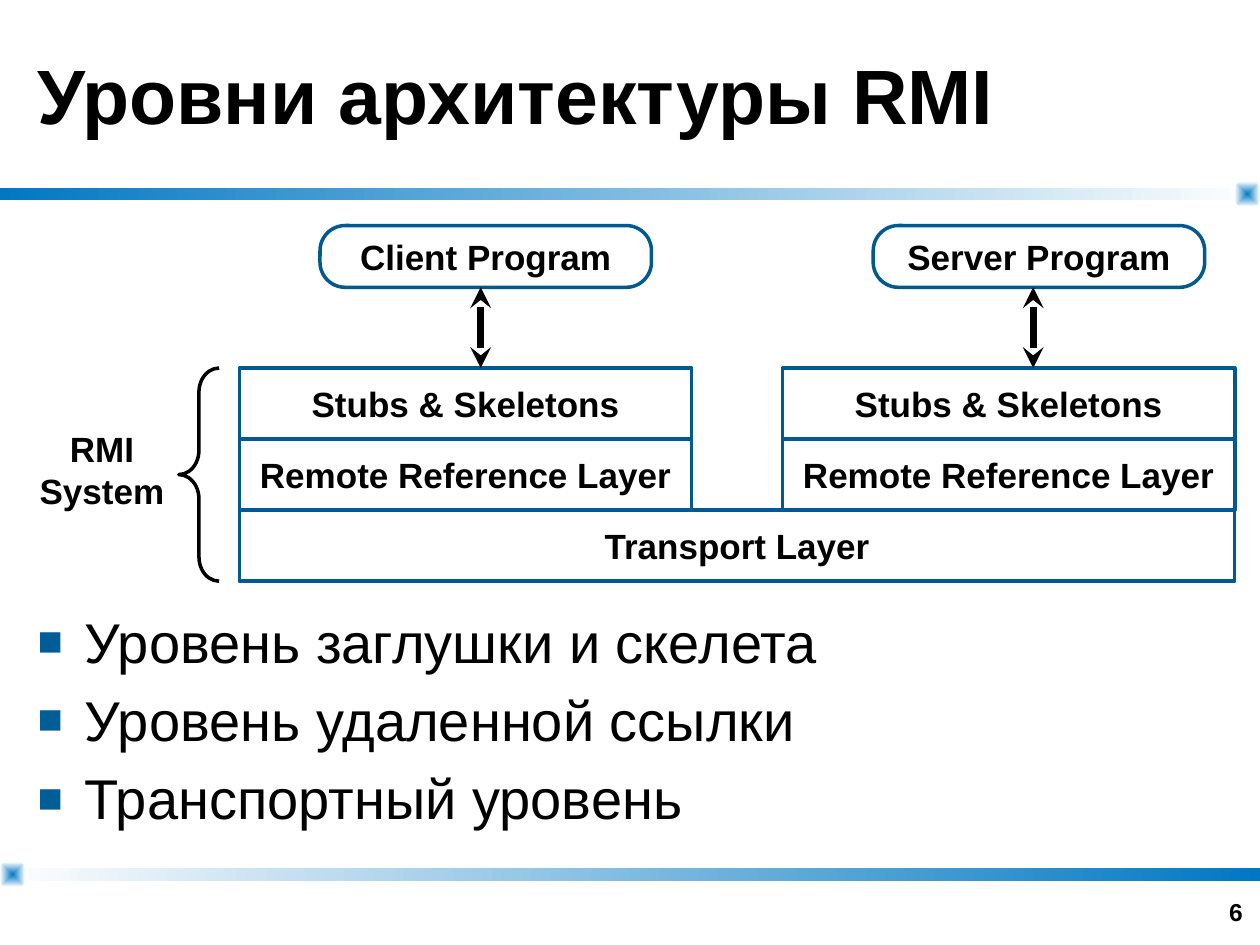
"""Build a slide on the layers of the RMI architecture."""
from dataclasses import dataclass

from lxml.etree import SubElement as Sub
from pptx import Presentation as Deck
from pptx.dml.color import RGBColor as Rgb
from pptx.enum.shapes import MSO_CONNECTOR as Conn, MSO_SHAPE as Kind
from pptx.enum.text import MSO_ANCHOR as Anchor, PP_ALIGN as Align
from pptx.oxml.ns import qn
from pptx.util import Pt

BLACK, EDGE, MARK, BLUE, WHITE = "000000", "005990", "005D96", "0078C3", "FFFFFF"
LEFT, RIGHT, WIDE = 136.8, 705.6, 258.5
TOP, ROW = 210.3, 40.6


@dataclass(frozen=True)
class Box:
    x: float
    y: float
    w: float
    h: float

    def pts(self) -> tuple:
        return tuple(Pt(v) for v in (self.x, self.y, self.w, self.h))


@dataclass(frozen=True)
class Side:
    name: str
    prog: float
    stack: float
    wire: float


@dataclass(frozen=True)
class Band:
    box: Box
    kind: Kind
    start: str
    end: str


SIDES = (
    Side("Client Program", 182.9, LEFT, 274.7),
    Side("Server Program", 499, RIGHT - WIDE, 590.4),
)
LAYERS = ("Stubs & Skeletons", "Remote Reference Layer")
BANDS = (
    Band(Box(0, 107.3, 720, 7.2), Kind.RECTANGLE, BLUE, WHITE),
    Band(Box(0, 496.1, 720, 7.2), Kind.RECTANGLE, WHITE, BLUE),
    Band(Box(705.6, 103.7, 14.4, 14.4), Kind.ROUNDED_RECTANGLE, BLUE, WHITE),
    Band(Box(0, 492.5, 14.4, 14.4), Kind.ROUNDED_RECTANGLE, BLUE, WHITE),
)
POINTS = ("Уровень заглушки и скелета", "Уровень удаленной ссылки",
          "Транспортный уровень")


def paint(part, hue: str) -> None:
    part.rgb = Rgb.from_string(hue)


def add_mark(para) -> None:
    props = para._p.get_or_add_pPr()
    props.set("marL", str(Pt(27)))
    props.set("indent", str(Pt(-27)))
    Sub(Sub(props, qn("a:spcBef")), qn("a:spcPct"), val="20000")
    Sub(Sub(props, qn("a:buClr")), qn("a:srgbClr"), val=MARK)
    Sub(props, qn("a:buSzPct"), val="75000")
    Sub(props, qn("a:buFont"), typeface="Arial")
    Sub(props, qn("a:buChar"), char="■")


def write(shape, *lines: str, size=20, bold=True, align=Align.CENTER,
          anchor=Anchor.MIDDLE, wrap=True, marks=False) -> None:
    frame = shape.text_frame
    frame.word_wrap, frame.vertical_anchor = wrap, anchor
    for i, line in enumerate(lines):
        para = frame.add_paragraph() if i else frame.paragraphs[0]
        para.alignment = align
        if marks:
            add_mark(para)
        run = para.add_run()
        run.text = line
        font = run.font
        font.name, font.size, font.bold = "Arial", Pt(size), bold
        paint(font.color, BLACK)


def add_text(slide, box: Box, *lines: str, **form) -> None:
    write(slide.shapes.add_textbox(*box.pts()), *lines, **form)


def add_form(slide, kind: Kind, box: Box, *adjs: float, hue: str = EDGE):
    shape = slide.shapes.add_shape(kind, *box.pts())
    shape.shadow.inherit = False
    shape.fill.background()
    for i, adj in enumerate(adjs):
        shape.adjustments[i] = adj
    shape.line.width = Pt(2)
    paint(shape.line.color, hue)
    return shape


def add_band(slide, band: Band) -> None:
    is_knob = band.kind == Kind.ROUNDED_RECTANGLE
    shape = add_form(slide, band.kind, band.box, *([0.318] if is_knob else []))
    shape.line.fill.background()
    shape.fill.gradient()
    shape.fill.gradient_angle = 0
    for stop, hue in zip(shape.fill.gradient_stops, (band.start, band.end)):
        paint(stop.color, hue)
    if is_knob:
        grad = shape._element.spPr.find(qn("a:gradFill"))
        grad.remove(grad.find(qn("a:lin")))
        route = Sub(grad, qn("a:path"), path="shape")
        Sub(route, qn("a:fillToRect"), l="50000", t="50000", r="50000", b="50000")


def add_wire(slide, x: float, y: float, end: float) -> None:
    wire = slide.shapes.add_connector(Conn.STRAIGHT, Pt(x), Pt(y), Pt(x), Pt(end))
    wire.line.width = Pt(4)
    paint(wire.line.color, BLACK)
    for tip in ("a:headEnd", "a:tailEnd"):
        Sub(wire.line._get_or_add_ln(), qn(tip), type="stealth")
    Sub(wire._element.spPr, qn("a:effectLst"))


def add_side(slide, side: Side) -> None:
    prog = Box(side.prog, 128.9, 189.4, 35.3)
    write(add_form(slide, Kind.ROUNDED_RECTANGLE, prog, 0.407), side.name)
    for i, layer in enumerate(LAYERS):
        box = Box(side.stack, TOP + i * ROW, WIDE, ROW)
        write(add_form(slide, Kind.RECTANGLE, box), layer)
    add_wire(slide, side.wire, prog.y + prog.h, TOP)


def main() -> None:
    deck = Deck()
    deck.slide_width, deck.slide_height = Pt(720), Pt(540)
    slide = deck.slides.add_slide(deck.slide_layouts[6])
    for band in BANDS:
        add_band(slide, band)
    add_text(slide, Box(14.4, 0, 691.2, 107.3), "Уровни архитектуры RMI",
             size=44, align=Align.LEFT)
    add_text(slide, Box(14.4, 343.4, 691.2, 138.2), *POINTS, size=32, bold=False,
             align=Align.LEFT, anchor=Anchor.TOP, marks=True)
    add_text(slide, Box(549.4, 496.8, 167.8, 36), "6", size=14,
             align=Align.RIGHT, anchor=Anchor.BOTTOM)
    for side in SIDES:
        add_side(slide, side)
    base = Box(LEFT, TOP + 2 * ROW, RIGHT - LEFT, ROW)
    write(add_form(slide, Kind.RECTANGLE, base), "Transport Layer")
    add_text(slide, Box(14.4, 240.5, 87.8, 50.4), "RMI", "System",
             anchor=Anchor.TOP, wrap=False)
    add_form(slide, Kind.LEFT_BRACE, Box(102.2, TOP, 23, 3 * ROW), 0.601, 0.5,
             hue=BLACK)
    deck.save("out.pptx")


if __name__ == "__main__":
    main()
